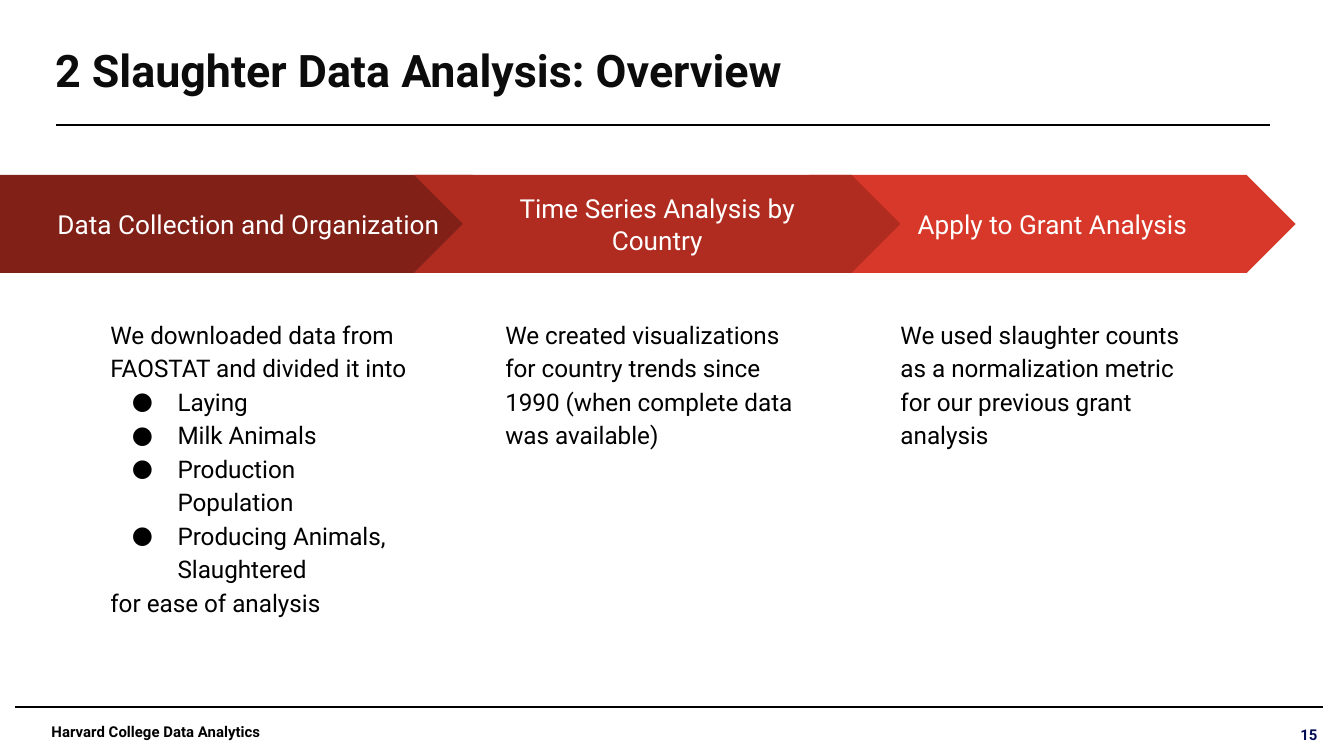
from pptx import Presentation
from pptx.dml.color import RGBColor
from pptx.enum.shapes import MSO_CONNECTOR as Line, MSO_SHAPE as Shape
from pptx.enum.text import MSO_ANCHOR as Anchor, MSO_AUTO_SIZE as AutoSize, PP_ALIGN as Align
from pptx.oxml.ns import qn
from pptx.util import Pt
from lxml.etree import SubElement

FONT = "Roboto"
BLACK = RGBColor(0x00, 0x00, 0x00)
INK = RGBColor(0x0C, 0x0C, 0x0C)
NAVY = RGBColor(0x00, 0x0D, 0x55)
WHITE = RGBColor(0xFF, 0xFF, 0xFF)
DARK_RED = RGBColor(0x80, 0x20, 0x17)
MID_RED = RGBColor(0xB0, 0x2C, 0x20)
BRIGHT_RED = RGBColor(0xD8, 0x38, 0x29)

STAGE_LEFT, STAGE_STEP = 10.1, 211.7
BAND_TOP, BAND_HEIGHT = 93.75, 52.5
NOTE_INDENT = 41.8


def place(item, box):
    item.left, item.top, item.width, item.height = (Pt(length) for length in box)


def set_frame(frame, anchor, side, end):
    frame.word_wrap = True
    frame.auto_size = AutoSize.NONE
    frame.vertical_anchor = anchor
    frame.margin_left = frame.margin_right = Pt(side)
    frame.margin_top = frame.margin_bottom = Pt(end)


def write(paragraph, wording, size, color, bold=False, align=Align.LEFT):
    paragraph.alignment = align
    run = paragraph.add_run()
    run.text = wording
    run.font.name = FONT
    run.font.size = Pt(size)
    run.font.bold = bold
    run.font.color.rgb = color


def add_rule(slide, left, right, y, weight):
    rule = slide.shapes.add_connector(Line.STRAIGHT, Pt(left), Pt(y), Pt(right), Pt(y))
    rule.line.color.rgb = BLACK
    rule.line.width = Pt(weight)
    SubElement(rule._element.spPr, qn("a:effectLst"))


def add_label(slide, box, wording, color, align, end):
    label = slide.shapes.add_textbox(*(Pt(length) for length in box))
    set_frame(label.text_frame, Anchor.MIDDLE, 5, end)
    write(label.text_frame.paragraphs[0], wording, 8, color, True, align)


def add_footer(slide, left, top, width):
    add_rule(slide, left, left + width, top, 0.75)
    add_label(slide, (left + 14.6, top + 3.2, 226, 20),
              "Harvard College Data Analytics", BLACK, Align.LEFT, 5)
    add_label(slide, (left + width - 36.7, top + 4.2, 39, 21.6), "15", NAVY, Align.RIGHT, 3)


def add_heading(slide, left, top, width, height):
    title = slide.shapes.title
    place(title, (left, top, width, height))
    set_frame(title.text_frame, Anchor.MIDDLE, 5, 5)
    write(title.text_frame.paragraphs[0], "2 Slaughter Data Analysis: Overview", 24, INK, True)
    add_rule(slide, left + 5.6, left + 656, top + 63.4, 1.5)


def add_stage(slide, preset, left, top, width, height, fill, wording):
    stage = slide.shapes.add_shape(preset, Pt(left), Pt(top), Pt(width), Pt(height))
    stage.adjustments[0] = 0.5
    stage.shadow.inherit = False
    stage.fill.solid()
    stage.fill.fore_color.rgb = fill
    stage.line.fill.background()
    set_frame(stage.text_frame, Anchor.MIDDLE, 7.2, 7.2)
    write(stage.text_frame.paragraphs[0], wording, 14, WHITE, align=Align.CENTER)


def set_bullet(paragraph, bulleted):
    properties = paragraph._p.get_or_add_pPr()
    properties.set("marL", str(Pt(36 if bulleted else 0)))
    properties.set("indent", str(Pt(-24.5 if bulleted else 0)))
    if bulleted:
        bullet_color = SubElement(properties, qn("a:buClr"))
        SubElement(bullet_color, qn("a:srgbClr"), val=str(BLACK))
        SubElement(properties, qn("a:buFont"), typeface=FONT)
        SubElement(properties, qn("a:buChar"), char="●")
    else:
        SubElement(properties, qn("a:buNone"))


def fill_note(note, left, top, width, height, lines):
    place(note, (left, top, width, height))
    frame = note.text_frame
    set_frame(frame, Anchor.TOP, 7.2, 7.2)
    for index, (wording, bulleted) in enumerate(lines):
        paragraph = frame.add_paragraph() if index else frame.paragraphs[0]
        set_bullet(paragraph, bulleted)
        paragraph.line_spacing = 1.15
        paragraph.space_before = Pt(0)
        write(paragraph, wording, 13, BLACK)


def add_process(slide):
    stages = [
        (2, Shape.CHEVRON, BRIGHT_RED, "Apply to Grant Analysis",
         [("We used slaughter counts as a normalization metric for our previous grant analysis",
           False)]),
        (0, Shape.PENTAGON, DARK_RED, "Data Collection and Organization",
         [("We downloaded data from FAOSTAT and divided it into", False),
          ("Laying", True),
          ("Milk Animals", True),
          ("Production Population", True),
          ("Producing Animals, Slaughtered", True),
          ("for ease of analysis", False)]),
        (1, Shape.CHEVRON, MID_RED, "Time Series Analysis by Country",
         [("We created visualizations for country trends since 1990 "
           "(when complete data was available)", False)]),
    ]
    for position, preset, fill, heading, lines in stages:
        left = STAGE_LEFT + STAGE_STEP * position
        band_left, band_width = (left, 260.6) if position else (0, 279.4)
        add_stage(slide, preset, band_left, BAND_TOP, band_width, BAND_HEIGHT, fill, heading)
        note = slide.shapes.add_textbox(0, 0, 0, 0) if position else slide.placeholders[1]
        fill_note(note, left + NOTE_INDENT, 162, 176.4, 206, lines)


def main():
    deck = Presentation()
    deck.slide_width, deck.slide_height = Pt(720), Pt(405)
    slide = deck.slides.add_slide(deck.slide_layouts[1])
    add_footer(slide, 8, 378.7, 700.5)
    add_heading(slide, 24.5, 3.6, 638, 67.7)
    add_process(slide)
    deck.save("out.pptx")


if __name__ == "__main__":
    main()
